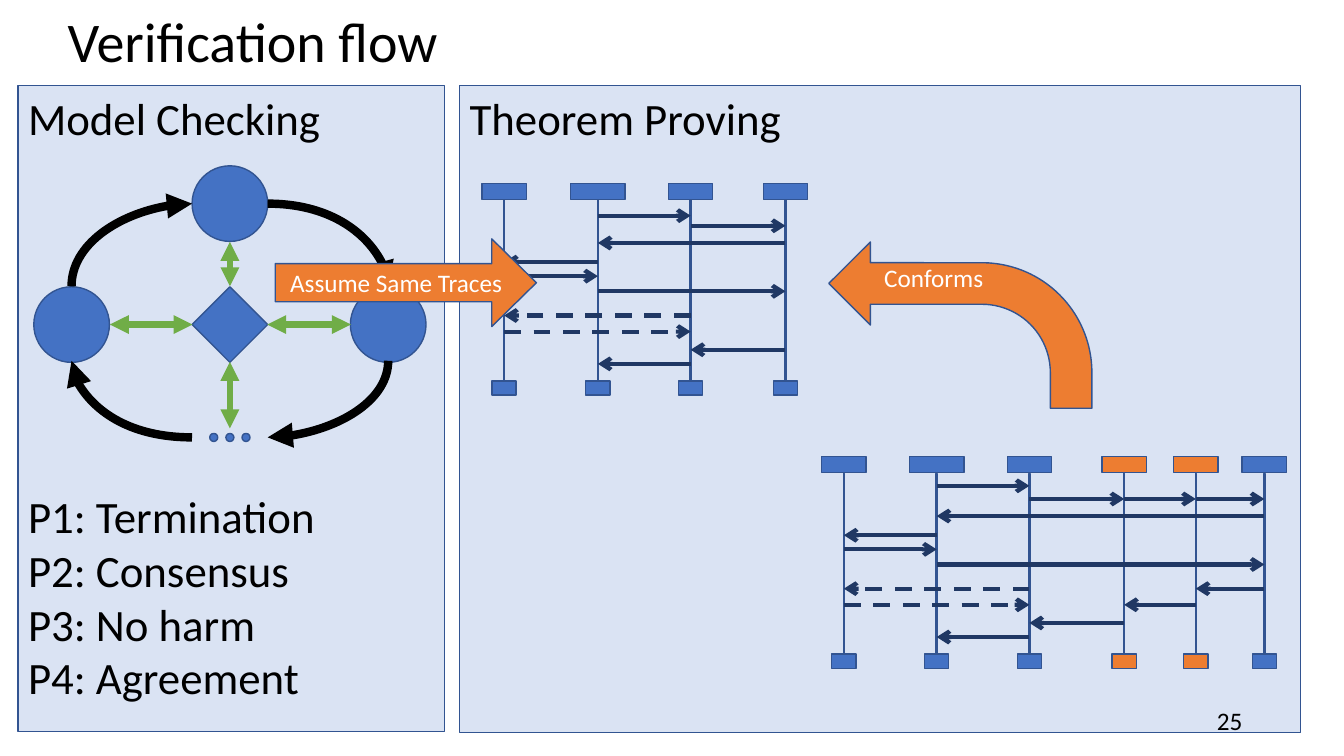
from pptx import Presentation
from pptx.dml.color import RGBColor
from pptx.enum.dml import MSO_LINE
from pptx.enum.shapes import MSO_CONNECTOR as LINK, MSO_SHAPE as SHAPE
from pptx.enum.text import MSO_ANCHOR as ANCHOR, PP_ALIGN as ALIGN
from pptx.oxml.ns import qn
from pptx.util import Inches, Pt
from lxml.etree import SubElement

COLORS = {"panel": "DAE3F3", "blue": "4472C4", "outline": "325491", "navy": "203864",
          "green": "70AD47", "orange": "ED7D31", "black": "000000", "white": "FFFFFF"}


class FlowSlide:
    font = "Calibri"

    def __init__(self, slide):
        self.slide = slide

    def color(self, name):
        return RGBColor.from_string(COLORS[name])

    def put_text(self, holder, text, size, color="black", align=ALIGN.LEFT, anchor=ANCHOR.TOP):
        frame = holder.text_frame
        frame.word_wrap = True
        frame.vertical_anchor = anchor
        frame.text = text
        for paragraph in frame.paragraphs:
            paragraph.alignment = align
            for run in paragraph.runs:
                run.font.name, run.font.size = self.font, Pt(size)
                run.font.color.rgb = self.color(color)
        return frame

    def title(self, text, *box):
        title = self.slide.shapes.title
        title.left, title.top, title.width, title.height = map(Inches, box)
        frame = self.put_text(title, text, 40, anchor=ANCHOR.MIDDLE)
        frame.paragraphs[0].line_spacing = 0.9

    def label(self, text, size, align, *box):
        holder = self.slide.shapes.add_textbox(*map(Inches, box))
        self.put_text(holder, text, size, align=align, anchor=ANCHOR.MIDDLE)

    def shape(self, kind, fill, *box, adjust=()):
        shape = self.slide.shapes.add_shape(kind, *map(Inches, box))
        shape.shadow.inherit = False
        shape.fill.solid()
        shape.fill.fore_color.rgb = self.color(fill)
        shape.line.color.rgb = self.color("outline")
        shape.line.width = Pt(1)
        for index, value in enumerate(adjust):
            shape.adjustments[index] = value
        return shape

    def centered(self, kind, fill, x, y, width, height):
        return self.shape(kind, fill, x - width / 2, y - height / 2, width, height)

    def arrow(self, start, end, color, width, head=None, tail=None, dashed=False, curved=False):
        kind = LINK.CURVE if curved else LINK.STRAIGHT
        link = self.slide.shapes.add_connector(kind, *map(Inches, (*start, *end)))
        link.line.color.rgb = self.color(color)
        link.line.width = Pt(width)
        if dashed:
            link.line.dash_style = MSO_LINE.DASH
        props = link._element.spPr
        if curved:
            props.find(qn("a:prstGeom")).set("prst", "curvedConnector2")
        for tag, style in (("a:headEnd", head), ("a:tailEnd", tail)):
            if style:
                SubElement(props.find(qn("a:ln")), qn(tag)).set("type", style)
        SubElement(props, qn("a:effectLst"))

    def sequence(self, top, lanes, messages):
        """Lanes are (centre x, head width, colour); messages are (from, to, drop, dashed)."""
        for x, head_width, fill in lanes:
            self.centered(SHAPE.RECTANGLE, fill, x, top + 1.13, 0.01, 1.93)
            self.centered(SHAPE.RECTANGLE, fill, x, top + 0.08, head_width, 0.16)
            self.centered(SHAPE.RECTANGLE, fill, x, top + 2.03, 0.24, 0.14)
        for sender, receiver, drop, dashed in messages:
            y = top + drop
            self.arrow((lanes[sender][0], y), (lanes[receiver][0], y),
                       "navy", 3, tail="arrow", dashed=dashed)


prs = Presentation()
prs.slide_width, prs.slide_height = Inches(13.33), Inches(7.5)
flow = FlowSlide(prs.slides.add_slide(prs.slide_layouts[5]))
flow.title("Verification flow", 0.57, 0.14, 12.19, 0.6)

# Panels
proving = flow.shape(SHAPE.RECTANGLE, "panel", 4.56, 0.85, 8.34, 6.42)
flow.put_text(proving, "Theorem Proving", 32)
checking = flow.shape(SHAPE.RECTANGLE, "panel", 0.18, 0.85, 4.23, 6.41)
properties = flow.put_text(checking, "Model Checking\nP1: Termination\nP2: Consensus\n"
                                     "P3: No harm\nP4: Agreement", 32)
properties.paragraphs[1].space_before = Pt(246)

# Model: states in a ring around a coordinator
MID_X, MID_Y, STATE = 2.28, 3.22, 0.75
LEFT_X, RIGHT_X, TOP_Y, BOTTOM_Y = 0.71, 3.85, 2.02, 4.34
for x, y in ((MID_X, TOP_Y), (LEFT_X, MID_Y), (RIGHT_X, MID_Y)):
    flow.centered(SHAPE.OVAL, "blue", x, y, STATE, STATE)
for step in (-1, 0, 1):
    flow.centered(SHAPE.OVAL, "blue", MID_X + 0.16 * step, BOTTOM_Y, 0.08, 0.08)
flow.centered(SHAPE.DIAMOND, "blue", MID_X, MID_Y, STATE, STATE)

for side_x, sign in ((LEFT_X, -1), (RIGHT_X, 1)):
    inner_x = MID_X + sign * STATE / 2
    for ring_y, side_y in ((TOP_Y, 2.84), (BOTTOM_Y, 3.58)):
        towards_side = (sign > 0) == (ring_y == TOP_Y)
        end = "tail" if towards_side else "head"
        flow.arrow((inner_x, ring_y), (side_x, side_y), "black", 6,
                   curved=True, **{end: "triangle"})
for start, end, dashed in (((2.65, MID_Y), (3.48, MID_Y), False),
                           ((1.09, MID_Y), (1.91, MID_Y), False),
                           ((MID_X, 3.59), (MID_X, 4.25), False),
                           ((MID_X, 2.4), (MID_X, 2.84), True)):
    flow.arrow(start, end, "green", 4.5, "triangle", "triangle", dashed)

# Sequence diagrams: the second adds two lanes to the first
SHARED = [(2, 3, 0.42, False), (-1, 1, 0.59, False), (1, 0, 0.78, False),
          (0, 1, 0.92, False), (1, -1, 1.07, False), (2, 0, 1.31, True),
          (0, 2, 1.47, True), (3, 2, 1.65, False), (2, 1, 1.79, False)]
flow.sequence(1.82, [(5, 0.44, "blue"), (5.93, 0.54, "blue"),
                     (6.85, 0.44, "blue"), (7.79, 0.44, "blue")],
              SHARED + [(1, 2, 0.32, False)])
flow.sequence(4.53, [(8.37, 0.44, "blue"), (9.29, 0.54, "blue"), (10.21, 0.44, "blue"),
                     (11.15, 0.44, "orange"), (11.86, 0.44, "orange"), (12.54, 0.44, "blue")],
              SHARED + [(1, 2, 0.29, False), (3, 4, 0.42, False), (4, 5, 0.42, False),
                        (4, 3, 1.47, False), (5, 4, 1.31, False)])

# Relations between the models
conforms = flow.shape(SHAPE.BENT_ARROW, "orange", 8.22, 2.4, 2.61, 1.65,
                      adjust=(0.25, 0.25, 0.25, 0.661))
conforms._element.spPr.find(qn("a:xfrm")).set("flipH", "1")
conforms_text = flow.put_text(conforms, "Conforms", 18, "white")
conforms_text.margin_left, conforms_text.margin_top = Inches(0.55), Inches(0.2)
same_traces = flow.shape(SHAPE.RIGHT_ARROW, "orange", 2.73, 2.37, 2.59, 0.87,
                         adjust=(0.434, 0.509))
flow.put_text(same_traces, "Assume Same Traces", 18, "white", ALIGN.CENTER, ANCHOR.MIDDLE)

# Slide number
flow.label("25", 18, ALIGN.RIGHT, 9.42, 6.95, 3, 0.4)

prs.save("out.pptx")
